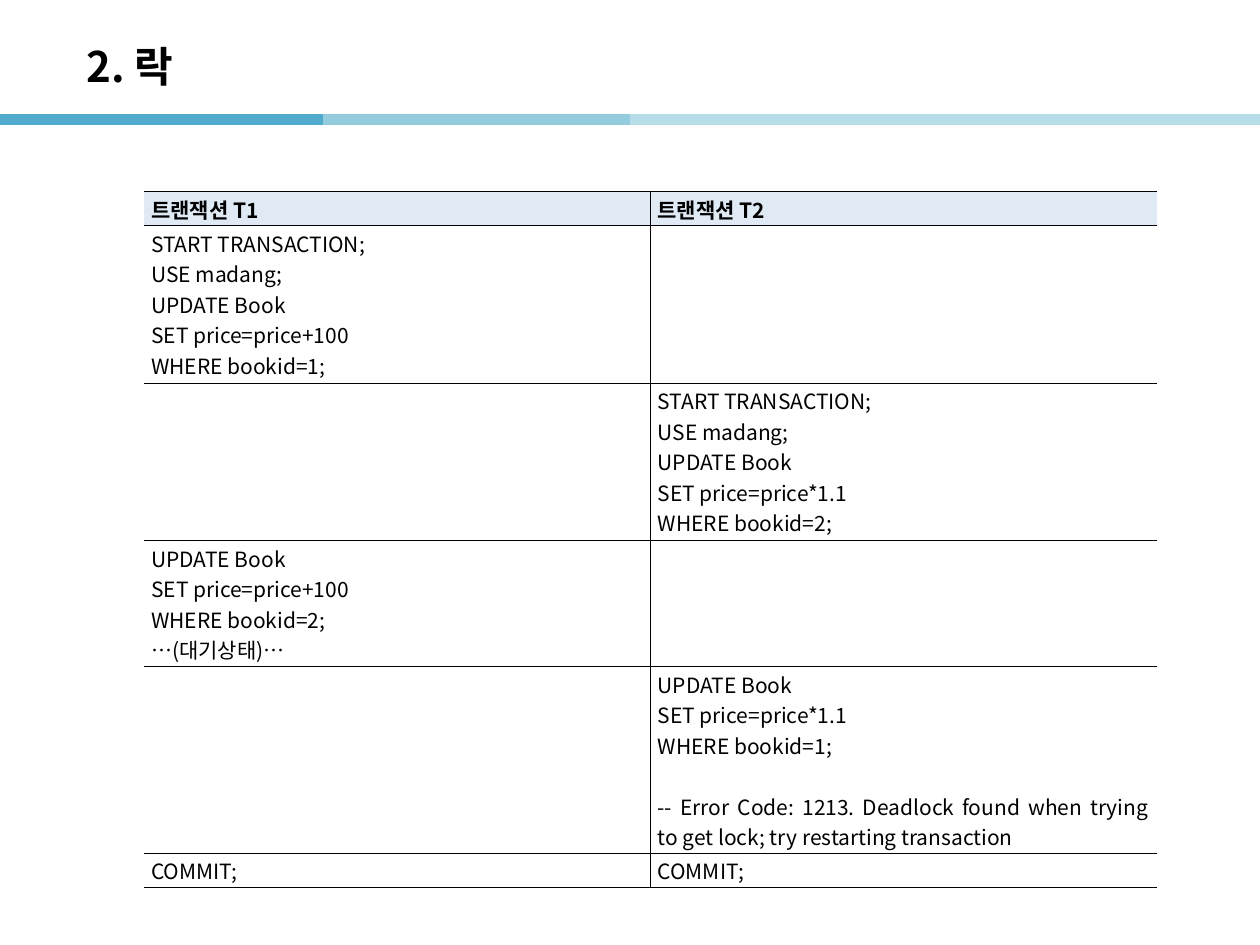
from dataclasses import dataclass

from lxml import etree
from pptx import Presentation
from pptx.dml.color import RGBColor
from pptx.enum.shapes import MSO_CONNECTOR
from pptx.enum.text import MSO_ANCHOR, PP_ALIGN
from pptx.oxml.ns import qn
from pptx.util import Inches, Pt

STRAIGHT = MSO_CONNECTOR.STRAIGHT
MIDDLE = MSO_ANCHOR.MIDDLE
LEFT, JUSTIFY = PP_ALIGN.LEFT, PP_ALIGN.JUSTIFY


@dataclass(frozen=True)
class Theme:
    font: str = "Noto Sans CJK KR"
    text: str = "000000"
    header_fill: str = "DFEAF5"
    border: str = "000000"
    title_size: float = 24
    body_size: float = 12
    blank_line: float = 17.4
    rule_width: float = 6
    border_width: float = 0.28


@dataclass(frozen=True)
class Rule:
    start: float
    color: str


@dataclass(frozen=True)
class Step:
    """One moment in time: the statements of T1 and T2, and the row height."""
    height: float
    t1: tuple[str, ...] = ()
    t2: tuple[str, ...] = ()
    t2_message: str = ""


THEME = Theme()
RULE_Y, RULE_LENGTH = 0.95, 2.56
RULES = (Rule(0, "50ABCC"), Rule(2.56, "93CDDD"), Rule(5, "B7DEE8"), Rule(7.46, "B7DEE8"))


def price_update(change: str, book_id: int) -> tuple[str, ...]:
    return "UPDATE Book", f"SET price=price{change}", f"WHERE bookid={book_id};"


OPENING = ("START TRANSACTION;", "USE madang;")
STEPS = (
    Step(0.27, ("트랜잭션 T1",), ("트랜잭션 T2",)),
    Step(1.25, t1=OPENING + price_update("+100", 1)),
    Step(1.25, t2=OPENING + price_update("*1.1", 2)),
    Step(1, t1=price_update("+100", 2) + ("…(대기상태)…",)),
    Step(1.48, t2=price_update("*1.1", 1),
         t2_message="-- Error Code: 1213. Deadlock found when trying to get lock; "
                    "try restarting transaction"),
    Step(0.27, ("COMMIT;",), ("COMMIT;",)),
)


def write(paragraph, text: str, *, size: float, bold: bool = False,
          align=LEFT, space_before: float = 0) -> None:
    paragraph.alignment = align
    paragraph.space_before = Pt(space_before)
    run = paragraph.add_run()
    run.text = text
    font = run.font
    font.size, font.bold, font.name = Pt(size), bold, THEME.font
    font.color.rgb = RGBColor.from_string(THEME.text)
    etree.SubElement(run._r.get_or_add_rPr(), qn("a:ea"), typeface=THEME.font)


def draw_rule(slide, rule: Rule) -> None:
    line = slide.shapes.add_connector(
        STRAIGHT, Inches(rule.start), Inches(RULE_Y),
        Inches(rule.start + RULE_LENGTH), Inches(RULE_Y))
    line.line.color.rgb = RGBColor.from_string(rule.color)
    line.line.width = Pt(THEME.rule_width)
    etree.SubElement(line._element.spPr, qn("a:effectLst"))


def draw_title(slide, text: str) -> None:
    box = slide.shapes.add_textbox(Inches(0.59), Inches(0.22), Inches(8.27), Inches(0.6))
    frame = box.text_frame
    frame.word_wrap = True
    frame.vertical_anchor = MIDDLE
    write(frame.paragraphs[0], text, size=THEME.title_size, bold=True)


def set_borders(cell, visible: str) -> None:
    """Show the borders named in visible (letters of LRTB) and hide the others."""
    properties = cell._tc.get_or_add_tcPr()
    for side in "LRTB":
        border = etree.SubElement(properties, qn(f"a:ln{side}"),
                                  w=str(Pt(THEME.border_width)))
        if side in visible:
            fill = etree.SubElement(border, qn("a:solidFill"))
            etree.SubElement(fill, qn("a:srgbClr"), val=THEME.border)
        else:
            etree.SubElement(border, qn("a:noFill"))


def fill_cell(cell, lines: tuple[str, ...], message: str, *,
              header: bool, borders: str) -> None:
    set_borders(cell, borders)
    if header:
        cell.fill.solid()
        cell.fill.fore_color.rgb = RGBColor.from_string(THEME.header_fill)
    else:
        cell.fill.background()
    cell.margin_left = cell.margin_right = Inches(0.06)
    cell.margin_top = cell.margin_bottom = Inches(0.02)
    cell.vertical_anchor = MIDDLE
    frame = cell.text_frame
    for index, line in enumerate(lines):
        paragraph = frame.add_paragraph() if index else frame.paragraphs[0]
        write(paragraph, line, size=THEME.body_size, bold=header, align=JUSTIFY)
    if message:
        write(frame.add_paragraph(), message, size=THEME.body_size, align=JUSTIFY,
              space_before=THEME.blank_line)


def draw_schedule(slide, steps: tuple[Step, ...]) -> None:
    table = slide.shapes.add_table(
        len(steps), 2, Inches(1.14), Inches(1.52), Inches(8.04),
        Inches(sum(step.height for step in steps))).table
    table.horz_banding = False
    for row, step in enumerate(steps):
        table.rows[row].height = Inches(step.height)
        header = row == 0
        fill_cell(table.cell(row, 0), step.t1, "", header=header, borders="RTB")
        fill_cell(table.cell(row, 1), step.t2, step.t2_message,
                  header=header, borders="LTB")


def main() -> None:
    deck = Presentation()
    deck.slide_width, deck.slide_height = Inches(10), Inches(7.5)
    slide = deck.slides.add_slide(deck.slide_layouts[6])
    for rule in RULES:
        draw_rule(slide, rule)
    draw_title(slide, "2. 락")
    draw_schedule(slide, STEPS)
    deck.save("out.pptx")


if __name__ == "__main__":
    main()
